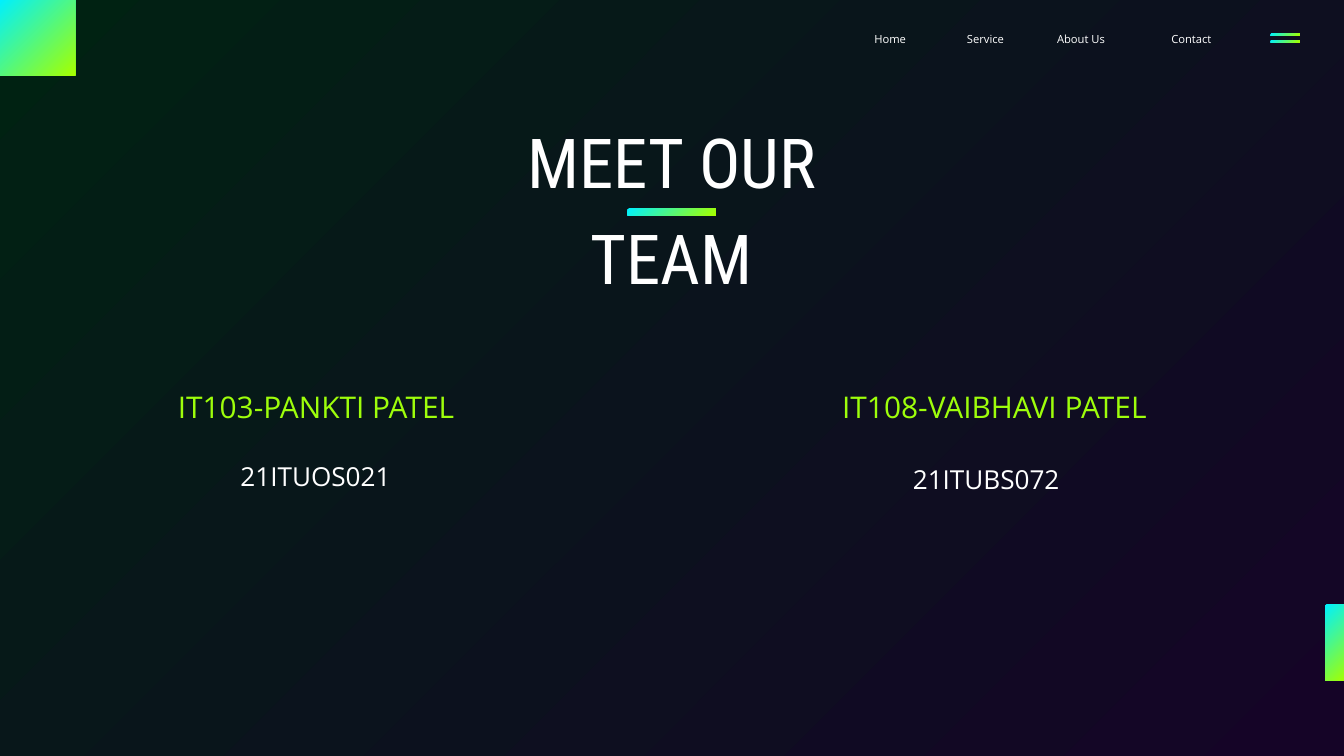
import pptx
import pptx.dml.color
import pptx.enum.shapes
import pptx.enum.text
import pptx.util
from dataclasses import dataclass

Inches = pptx.util.Inches
Pt = pptx.util.Pt
ALIGN = pptx.enum.text.PP_ALIGN


@dataclass(frozen=True)
class Theme:
    """Colours, fonts and text styles of the slide."""
    back: tuple = ("002212", "150427")
    glow: tuple = ("00F0FF", "A6FF00")
    white: str = "FFFFFF"
    lime: str = "9EFE0B"
    body: str = "Open Sans"
    head: str = "Roboto Condensed"
    menu: tuple = (12, 16.8)
    title: tuple = (73.8, 103.3)
    name: tuple = (32, 44.8)
    code: tuple = (28, 39.2)


THEME = Theme()


def blend(fill, shades):
    """Fill with a diagonal gradient from top left to bottom right."""
    fill.gradient()
    fill.gradient_angle = 315
    for stop, shade in zip(fill.gradient_stops, shades):
        stop.color.rgb = pptx.dml.color.RGBColor.from_string(shade)


def block(slide, box):
    """Place a glowing rectangle in the box."""
    shape = slide.shapes.add_shape(
        pptx.enum.shapes.MSO_SHAPE.RECTANGLE, *map(Inches, box))
    shape.shadow.inherit = False
    shape.line.fill.background()
    blend(shape.fill, THEME.glow)


def label(slide, box, text, style, color=THEME.white, face=THEME.body,
          align=ALIGN.CENTER):
    """Place one paragraph of text in the box."""
    frame = slide.shapes.add_textbox(*map(Inches, box)).text_frame
    para = frame.paragraphs[0]
    para.text = text
    size, pitch = style
    formats = {
        frame: {"margin_left": 0, "margin_top": 0, "margin_right": 0,
                "margin_bottom": 0, "word_wrap": True,
                "auto_size": pptx.enum.text.MSO_AUTO_SIZE.SHAPE_TO_FIT_TEXT},
        para: {"alignment": align, "line_spacing": Pt(pitch)},
        para.runs[0].font: {"name": face, "size": Pt(size)},
    }
    for target, values in formats.items():
        for key, value in values.items():
            setattr(target, key, value)
    para.runs[0].font.color.rgb = pptx.dml.color.RGBColor.from_string(color)


def navbar(slide, box):
    """Place the menu words and the two-bar icon."""
    left, top, width, height = box
    items = (("Home", 0, 0.89), ("Service", 1.38, 0.8),
             ("About Us", 2.72, 1.16), ("Contact", 4.42, 1.07))
    for text, shift, span in items:
        label(slide, (left + shift, top, span, height), text, THEME.menu,
              align=ALIGN.LEFT)
    bar = 0.43
    for drop in (0.06, 0.16):
        block(slide, (left + width - bar, top + drop, bar, 0.03))


def header(slide, box):
    """Place the title with a centred bar between its lines."""
    left, top, width, height = box
    label(slide, box, "MEET OUR TEAM", THEME.title, face=THEME.head)
    bar = 1.32
    block(slide, (left + (width - bar) / 2, top + 1.54, bar, 0.09))


def member(slide, box, name, code, shift, drop):
    """Place a member's name with the code below it."""
    left, top, width, height = box
    label(slide, (left, top, width, 0.59), name, THEME.name, THEME.lime)
    label(slide, (left + shift, top + drop, 3.33, height - drop), code,
          THEME.code)


def main():
    """Build the team slide and save it."""
    deck = pptx.Presentation()
    deck.slide_width, deck.slide_height = Inches(20), Inches(11.25)
    slide = deck.slides.add_slide(deck.slide_layouts[6])
    blend(slide.background.fill, THEME.back)
    block(slide, (0, 0, 1.12, 1.12))
    block(slide, (19.72, 9, 0.32, 1.12))
    navbar(slide, (13.01, 0.44, 6.33, 0.22))
    header(slide, (6.54, 1.57, 6.91, 1.39))
    member(slide, (2.3, 5.7, 4.81, 1.61), "IT103-PANKTI PATEL",
           "21ITUOS021", 0.73, 1.08)
    member(slide, (12.16, 5.7, 5.28, 1.65), "IT108-VAIBHAVI PATEL",
           "21ITUBS072", 0.85, 1.12)
    deck.save("out.pptx")


if __name__ == "__main__":
    main()
